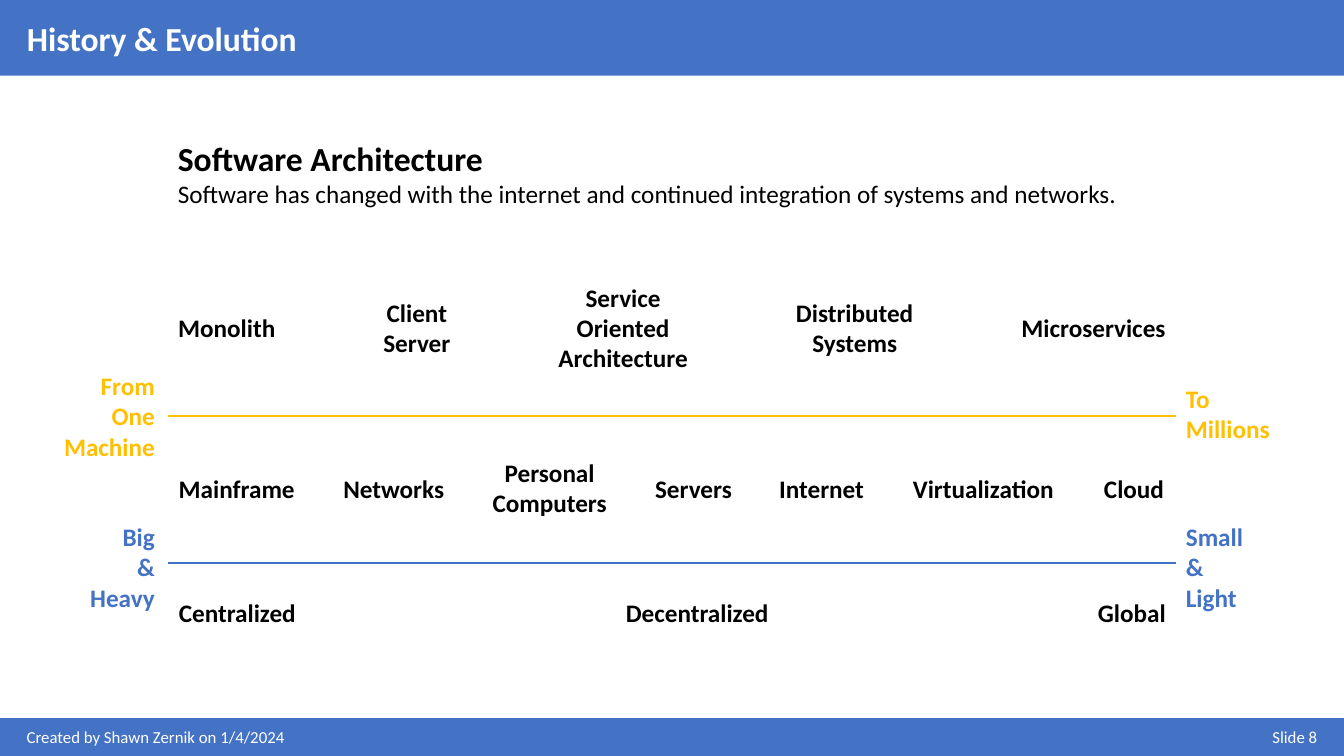
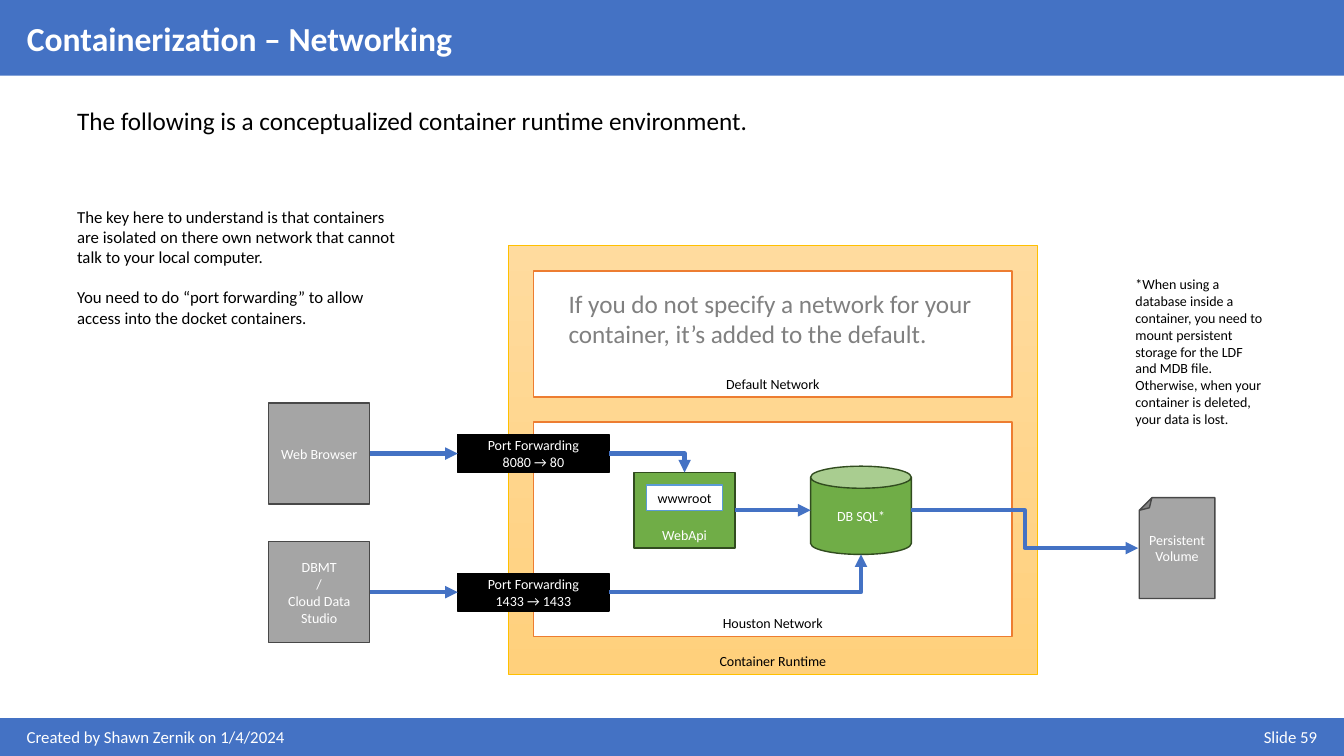
from dataclasses import dataclass
from typing import NamedTuple, Optional

import pptx
import pptx.dml.color
import pptx.enum.dml
import pptx.enum.shapes
import pptx.enum.text
import pptx.oxml.ns
import pptx.presentation
import pptx.shapes.autoshape
import pptx.shapes.base
import pptx.shapes.connector
import pptx.shapes.shapetree
import pptx.slide
import pptx.text.text
import pptx.util
from lxml import etree

Align = pptx.enum.text.PP_ALIGN
Anchor = pptx.enum.text.MSO_ANCHOR
Preset = pptx.enum.shapes.MSO_SHAPE
Connector = pptx.enum.shapes.MSO_CONNECTOR
Shapes = pptx.shapes.shapetree.SlideShapes

EMU_PER_PX = 9525
SLIDE_W, SLIDE_H = 1280, 720
FONT = "Calibri"
BLUE, GOLD, ORANGE = "4472C4", "FFC000", "ED7D31"
GREEN, DARK_GREEN, SKY = "70AD47", "314C1F", "5B9BD5"
GRAY, DARK_GRAY, MID_GRAY = "A5A5A5", "484848", "808080"
BLACK, WHITE = "000000", "FFFFFF"
AUTHOR = "Created by Shawn Zernik on 1/4/2024"
TITLE_ONLY = 5


class Box(NamedTuple):
    x: int
    y: int
    w: int
    h: int


class Label(NamedTuple):
    text: str
    w: int


@dataclass
class Row:
    mid_y: int
    labels: list[Label]


@dataclass
class SideLabel:
    text: str
    x: int
    w: int
    mid_y: int
    color: str
    align: Align


@dataclass
class Node:
    name: str
    box: Box
    text: str
    fill: str
    line: str
    color: str = WHITE
    anchor: Anchor = Anchor.MIDDLE
    preset: Preset = Preset.RECTANGLE
    line_pt: float = 1


@dataclass
class Arrow:
    start: tuple[int, int]
    end: tuple[int, int]
    source: str = ""
    target: str = ""
    preset: str = "line"


def px(n: int) -> pptx.util.Emu:
    return pptx.util.Emu(n * EMU_PER_PX)


def rgb(color: str) -> pptx.dml.color.RGBColor:
    return pptx.dml.color.RGBColor.from_string(color)


def place(sp: pptx.shapes.base.BaseShape, box: Box) -> None:
    sp.left, sp.top, sp.width, sp.height = map(px, box)


def write(tf: pptx.text.text.TextFrame, text: str, *, size: int = 18,
          color: str = BLACK, bold: bool = False, align: Align = Align.LEFT,
          gap: float = 0) -> None:
    """Fill a frame with one paragraph a line, gap points apart."""
    tf.text = text
    for i, p in enumerate(tf.paragraphs):
        p.alignment = align
        if i and gap:
            p.space_before = pptx.util.Pt(gap)
        for r in p.runs:
            r.font.name = FONT
            r.font.size = pptx.util.Pt(size)
            r.font.bold = bold
            r.font.color.rgb = rgb(color)


def add_text(shapes: Shapes, box: Box, text: str, *, wrap: bool = True,
             **fmt) -> pptx.text.text.TextFrame:
    tf = shapes.add_textbox(*map(px, box)).text_frame
    tf.word_wrap = wrap
    tf.auto_size = pptx.enum.text.MSO_AUTO_SIZE.SHAPE_TO_FIT_TEXT
    write(tf, text, **fmt)
    return tf


def add_box(shapes: Shapes, box: Box, fill: str, line: Optional[str] = None,
            preset: Preset = Preset.RECTANGLE,
            line_pt: float = 1) -> pptx.shapes.autoshape.Shape:
    sp = shapes.add_shape(preset, *map(px, box))
    sp.shadow.inherit = False
    sp.fill.solid()
    sp.fill.fore_color.rgb = rgb(fill)
    if line:
        sp.line.color.rgb = rgb(line)
        sp.line.width = pptx.util.Pt(line_pt)
    else:
        sp.line.fill.background()
    return sp


def add_node(shapes: Shapes, node: Node) -> pptx.shapes.autoshape.Shape:
    sp = add_box(shapes, node.box, node.fill, node.line, node.preset, node.line_pt)
    sp.text_frame.vertical_anchor = node.anchor
    sp.text_frame.word_wrap = True
    write(sp.text_frame, node.text, size=10, color=node.color, align=Align.CENTER)
    return sp


def add_line(shapes: Shapes, start: tuple[int, int], end: tuple[int, int],
             color: str, width: float,
             preset: str = "line") -> pptx.shapes.connector.Connector:
    kind = Connector.STRAIGHT if preset == "line" else Connector.ELBOW
    cx = shapes.add_connector(kind, *map(px, start + end))
    cx.line.color.rgb = rgb(color)
    cx.line.width = pptx.util.Pt(width)
    sp_pr = cx.element.spPr
    sp_pr.find(pptx.oxml.ns.qn("a:prstGeom")).set("prst", preset)
    etree.SubElement(sp_pr, pptx.oxml.ns.qn("a:effectLst"))
    return cx


def add_arrow(shapes: Shapes, arrow: Arrow,
              nodes: dict[str, pptx.shapes.autoshape.Shape]) -> None:
    cx = add_line(shapes, arrow.start, arrow.end, BLUE, 3, arrow.preset)
    if arrow.source:
        cx.begin_connect(nodes[arrow.source], 3)
    if arrow.target:
        cx.end_connect(nodes[arrow.target], 1)
    ln = cx.element.spPr.find(pptx.oxml.ns.qn("a:ln"))
    etree.SubElement(ln, pptx.oxml.ns.qn("a:tailEnd"), type="triangle")


def add_slide(prs: pptx.presentation.Presentation, title: str,
              number: int) -> pptx.slide.Slide:
    """Add a slide with the title band and the footer band."""
    s = prs.slides.add_slide(prs.slide_layouts[TITLE_ONLY])
    add_box(s.shapes, Box(0, 0, SLIDE_W, 72), BLUE)
    add_box(s.shapes, Box(0, 684, SLIDE_W, 36), BLUE)
    add_text(s.shapes, Box(16, 687, 612, 29), AUTHOR, size=12, color=WHITE)
    add_text(s.shapes, Box(640, 687, 624, 29), f"Slide {number}", size=12,
             color=WHITE, align=Align.RIGHT)
    sp = s.shapes.title
    place(sp, Box(16, 12, 1248, 48))
    sp.text_frame.vertical_anchor = Anchor.MIDDLE
    sp.text_frame.auto_size = pptx.enum.text.MSO_AUTO_SIZE.NONE
    write(sp.text_frame, title, size=24, color=WHITE, bold=True)
    s.shapes.element.append(sp.element)  # title in front of its band
    return s


def centred_box(text: str, x: int, w: int, mid_y: int) -> Box:
    h = 10 + 29 * len(text.split("\n"))
    return Box(x, mid_y - h // 2, w, h)


def add_row(shapes: Shapes, row: Row, left: int, right: int) -> None:
    """Spread labels from left to right with equal gaps."""
    free = right - left - sum(label.w for label in row.labels)
    gap = free / (len(row.labels) - 1)
    x = float(left)
    for label in row.labels:
        add_text(shapes, centred_box(label.text, round(x), label.w, row.mid_y),
                 label.text, wrap=False, bold=True, align=Align.CENTER)
        x += label.w + gap


def build_history(prs: pptx.presentation.Presentation) -> None:
    shapes = add_slide(prs, "History & Evolution", 8).shapes
    left, right = 160, 1120
    tf = add_text(shapes, Box(left, 127, right - left, 78),
                  "Software Architecture\nSoftware has changed with the internet "
                  "and continued integration of systems and networks.")
    heading = tf.paragraphs[0].runs[0].font
    heading.size, heading.bold = pptx.util.Pt(24), True

    rows = [
        Row(312, [Label("Monolith", 112), Label("Client\nServer", 84),
                  Label("Service\nOriented\nArchitecture", 143),
                  Label("Distributed\nSystems", 132), Label("Microservices", 157)]),
        Row(465, [Label("Mainframe", 131), Label("Networks", 116),
                  Label("Personal\nComputers", 129), Label("Servers", 93),
                  Label("Internet", 101), Label("Virtualization", 155),
                  Label("Cloud", 80)]),
        Row(583, [Label("Centralized", 132), Label("Decentralized", 156),
                  Label("Global", 84)]),
    ]
    for row in rows:
        add_row(shapes, row, left, right)
    for y, color in ((396, GOLD), (536, BLUE)):
        add_line(shapes, (left, y), (right, y), color, 1.5)

    sides = [
        SideLabel("From\nOne\nMachine", 50, 107, 396, GOLD, Align.RIGHT),
        SideLabel("To\nMillions", right, 100, 394, GOLD, Align.LEFT),
        SideLabel("Big\n&\nHeavy", 75, 82, 540, BLUE, Align.RIGHT),
        SideLabel("Small\n&\nLight", right, 74, 540, BLUE, Align.LEFT),
    ]
    for side in sides:
        add_text(shapes, centred_box(side.text, side.x, side.w, side.mid_y), side.text,
                 wrap=False, bold=True, color=side.color, align=side.align)


def build_networking(prs: pptx.presentation.Presentation) -> None:
    shapes = add_slide(prs, "Containerization – Networking", 59).shapes
    low = Anchor.BOTTOM
    nodes = [
        Node("runtime", Box(484, 234, 504, 408), "Container Runtime", "FFD590", GOLD,
             BLACK, low, line_pt=0.5),
        Node("default", Box(508, 258, 456, 120), "Default Network", WHITE, ORANGE,
             BLACK, low),
        Node("houston", Box(508, 402, 456, 204), "Houston Network", WHITE, ORANGE,
             BLACK, low),
        Node("database", Box(772, 444, 96, 84), "DB SQL*", GREEN, DARK_GREEN,
             preset=Preset.CAN),
        Node("api", Box(604, 450, 96, 72), "WebApi", GREEN, DARK_GREEN, anchor=low),
        Node("wwwroot", Box(616, 462, 72, 24), "wwwroot", WHITE, SKY, BLACK),
        Node("browser", Box(256, 384, 96, 96), "Web Browser", GRAY, DARK_GRAY),
        Node("web port", Box(436, 414, 144, 36), "Port Forwarding\n8080 → 80",
             BLACK, BLACK),
        Node("sql tool", Box(256, 516, 96, 96), "DBMT\n/\nCloud Data Studio",
             GRAY, DARK_GRAY),
        Node("sql port", Box(436, 546, 144, 36), "Port Forwarding\n1433 → 1433",
             BLACK, BLACK),
    ]
    drawn = {node.name: add_node(shapes, node) for node in nodes}
    fill = drawn["runtime"].fill
    fill.gradient()
    fill.gradient_angle = 270
    for stop, color in zip(fill.gradient_stops, ("FFDB9E", "FFD07C")):
        stop.color.rgb = rgb(color)

    volume = shapes.add_group_shape().shapes
    page = add_box(volume, Box(1085, 474, 72, 96), GRAY, DARK_GRAY, Preset.FOLDED_CORNER)
    page.rotation = 180
    add_text(volume, Box(1084, 501, 74, 42), "Persistent\nVolume", wrap=False,
             size=10, color=WHITE, align=Align.CENTER)

    arrows = [
        Arrow((352, 432), (436, 432), "browser", "web port"),
        Arrow((352, 564), (436, 564), "sql tool", "sql port"),
        Arrow((700, 486), (772, 486), "api"),
        Arrow((580, 564), (820, 528), preset="bentConnector2"),
        Arrow((580, 432), (652, 450), preset="bentConnector2"),
        Arrow((868, 486), (1084, 522), preset="bentConnector3"),
    ]
    for arrow in arrows:
        add_arrow(shapes, arrow, drawn)

    add_text(shapes, Box(64, 96, 1152, 39),
             "The following is a conceptualized container runtime environment.")
    add_text(shapes, Box(532, 270, 408, 68),
             "If you do not specify a network for your container, "
             "it’s added to the default.", color=MID_GRAY)
    add_text(shapes, Box(64, 192, 324, 126),
             "The key here to understand is that containers are isolated on there own "
             "network that cannot talk to your local computer.\n"
             "You need to do “port forwarding” to allow access into the docket "
             "containers.", size=12, gap=14.4)
    add_text(shapes, Box(1072, 258, 144, 156),
             "*When using a database inside a container, you need to mount persistent "
             "storage for the LDF and MDB file. Otherwise, when your container is "
             "deleted, your data is lost.", size=10)


def main() -> None:
    prs = pptx.Presentation()
    prs.slide_width, prs.slide_height = px(SLIDE_W), px(SLIDE_H)
    build_history(prs)
    build_networking(prs)
    prs.save("out.pptx")


if __name__ == "__main__":
    main()
